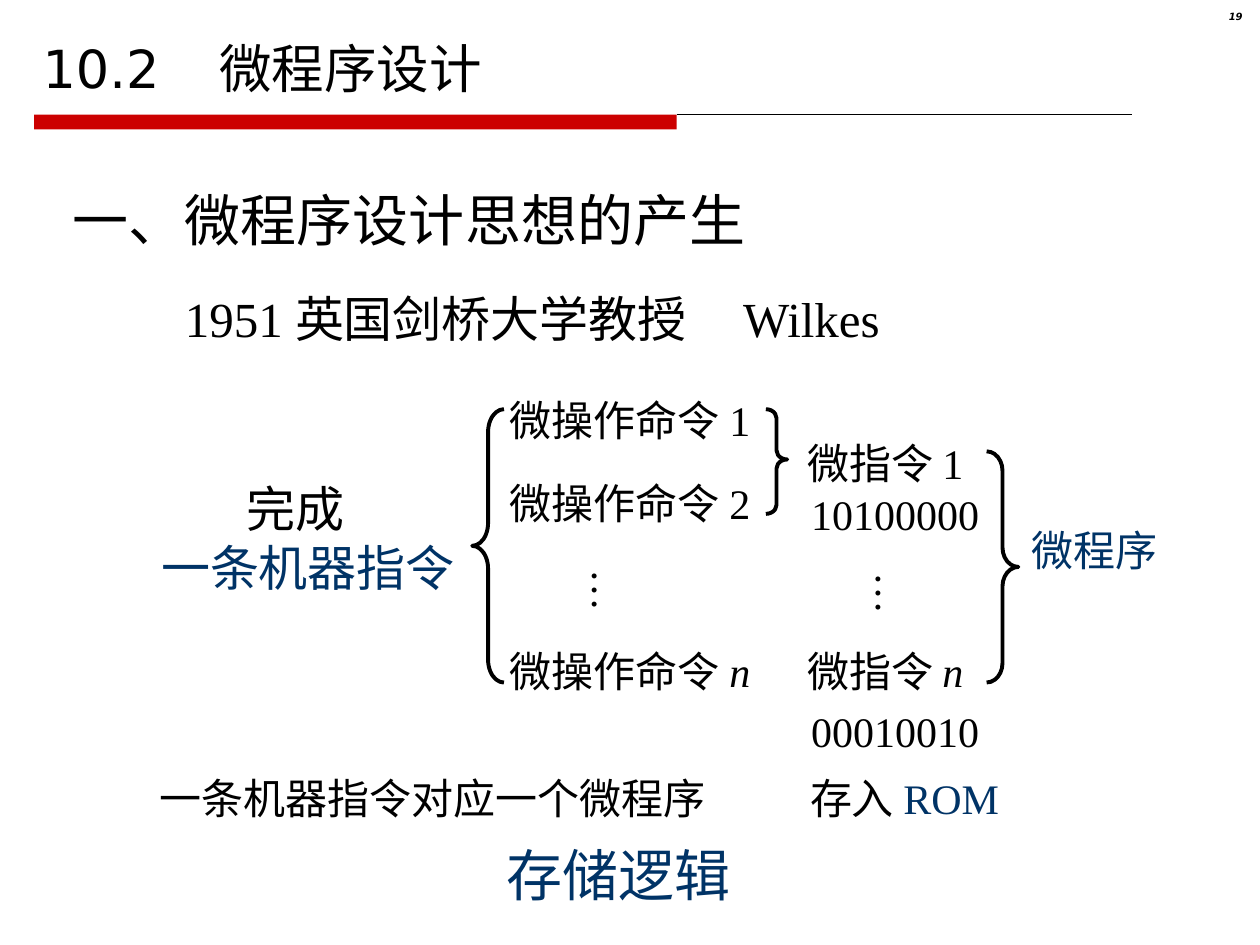
from typing import NamedTuple

from lxml.etree import SubElement
from pptx import Presentation
from pptx.dml.color import RGBColor
from pptx.enum.shapes import MSO_CONNECTOR as Link, MSO_SHAPE as Shape
from pptx.enum.text import MSO_ANCHOR as Anchor, PP_ALIGN as Align
from pptx.oxml.ns import qn
from pptx.util import Cm, Pt

BLACK, NAVY, RED = "000000", "003366", "CC0000"
SERIF, SANS = "Times New Roman", "DejaVu Sans"


class Run(NamedTuple):
    text: str
    color: str = BLACK
    slant: bool = False


class Note(NamedTuple):
    x: float
    y: float
    w: float
    h: float
    lines: list[list[Run]]
    size: float = 24
    font: str = SERIF
    wrap: bool = False
    tab: float = 0


class Brace(NamedTuple):
    kind: Shape
    x: float
    y: float
    w: float
    h: float
    curl: float
    tip: float = 0.5


def rgb(code: str) -> RGBColor:
    return RGBColor.from_string(code)


def add_note(slide, note: Note):
    box = slide.shapes.add_textbox(Cm(note.x), Cm(note.y), Cm(note.w), Cm(note.h))
    frame = box.text_frame
    frame.word_wrap = note.wrap
    for i, line in enumerate(note.lines):
        para = frame.add_paragraph() if i else frame.paragraphs[0]
        if note.tab:
            stops = SubElement(para._p.get_or_add_pPr(), qn("a:tabLst"))
            SubElement(stops, qn("a:tab"), pos=str(Cm(note.tab)), algn="l")
        for part in line:
            run = para.add_run()
            run.text = part.text
            run.font.name, run.font.size = note.font, Pt(note.size)
            run.font.color.rgb = rgb(part.color)
            if part.slant:
                run.font.italic = True
    return frame


def add_dots(slide, x: float, y: float) -> None:
    """Draw an ellipsis that runs downwards."""
    frame = add_note(slide, Note(x, y, 1.52, 1.12, [[Run("…")]]))
    frame._txBody.bodyPr.set("vert", "eaVert")
    frame.margin_left = frame.margin_right = Cm(0.13)
    frame.margin_top = frame.margin_bottom = Cm(0.25)


def add_brace(slide, brace: Brace) -> None:
    shape = slide.shapes.add_shape(
        brace.kind, Cm(brace.x), Cm(brace.y), Cm(brace.w), Cm(brace.h))
    shape.adjustments[0], shape.adjustments[1] = brace.curl, brace.tip
    shape.shadow.inherit = False
    shape.fill.background()
    shape.line.color.rgb = rgb(BLACK)
    shape.line.width = Pt(2.25)


def add_rule(slide) -> None:
    """Draw the red bar and the thin line that carries it on."""
    left, top, mid, end = Cm(0.69), Cm(2.31), Cm(13.64), Cm(22.81)
    line = slide.shapes.add_connector(Link.STRAIGHT, mid, top, end, top)
    line.line.color.rgb = rgb(BLACK)
    line.line.width = Pt(0.75)
    SubElement(line._element.spPr, qn("a:effectLst"))
    bar = slide.shapes.add_shape(Shape.RECTANGLE, left, top, mid - left, Cm(0.3))
    bar.shadow.inherit = False
    bar.fill.solid()
    bar.fill.fore_color.rgb = rgb(RED)
    bar.line.fill.background()


def add_head(slide) -> None:
    title = add_note(slide, Note(0.61, 0.33, 24, 1.8, [[Run("10.2\t微程序设计")]],
                                 30, SANS, True, 3.56))
    title.vertical_anchor = Anchor.BOTTOM
    page = add_note(slide, Note(23.8, 0.13, 1.5, 0.58, [[Run("19", BLACK, True)]],
                                5.7, SANS, True))
    para = page.paragraphs[0]
    para.alignment, para.line_spacing = Align.RIGHT, 0.8
    para.runs[0].font.bold = True


NOTES = [
    Note(1.22, 3.61, 16.97, 1.63, [[Run("一、微程序设计思想的产生")]], 32, wrap=True),
    Note(3.48, 5.69, 14.55, 1.45, [[Run("1951 英国剑桥大学教授\tWilkes")]], 28,
         wrap=True, tab=11.25),
    Note(16.1, 9.73, 3.89, 1.27, [[Run("10100000")]]),
    Note(16.1, 14.1, 3.89, 1.27, [[Run("00010010")]]),
    Note(20.55, 10.44, 3.05, 1.27, [[Run("微程序", NAVY)]]),
    Note(2.97, 15.44, 11.51, 1.27, [[Run("一条机器指令对应一个微程序")]]),
    Note(16.08, 15.44, 5.08, 1.27, [[Run("存入 "), Run("ROM", NAVY)]], wrap=True),
    Note(9.96, 16.81, 8.94, 1.63, [[Run("存储逻辑", NAVY)]], 32, wrap=True),
]
# Name, left, width, and the top of each numbered item
LISTS = [
    ("微操作命令 ", 10.03, 5.56, {"1": 7.82, "2": 9.5, "n": 12.88}),
    ("微指令 ", 16.02, 3.86, {"1": 8.69, "n": 12.88}),
]
BRACES = [
    Brace(Shape.LEFT_BRACE, 9.52, 8.25, 0.64, 5.51, 0.72),
    Brace(Shape.RIGHT_BRACE, 15.44, 8.25, 0.43, 2.11, 0.42, 0.48),
    Brace(Shape.RIGHT_BRACE, 19.89, 9.1, 0.64, 4.66, 0.61),
]


def main() -> None:
    deck = Presentation()
    deck.slide_width, deck.slide_height = Cm(25.4), Cm(19.05)
    slide = deck.slides.add_slide(deck.slide_layouts[6])
    add_rule(slide)
    add_head(slide)
    for note in NOTES:
        add_note(slide, note)
    goal = add_note(slide, Note(3, 9.52, 6.43, 2.64, [
        [Run("完成")], [Run("一条机器指令", NAVY)]], 28))
    goal.paragraphs[0]._p.get_or_add_pPr().set("marL", str(Cm(1.73)))
    for name, x, w, tops in LISTS:
        for mark, y in tops.items():
            add_note(slide, Note(x, y, w, 1.27, [
                [Run(name), Run(mark, slant=mark == "n")]]))
    add_dots(slide, 11.4, 11.23)
    add_dots(slide, 17.12, 11.3)
    for brace in BRACES:
        add_brace(slide, brace)
    deck.save("out.pptx")


if __name__ == "__main__":
    main()
